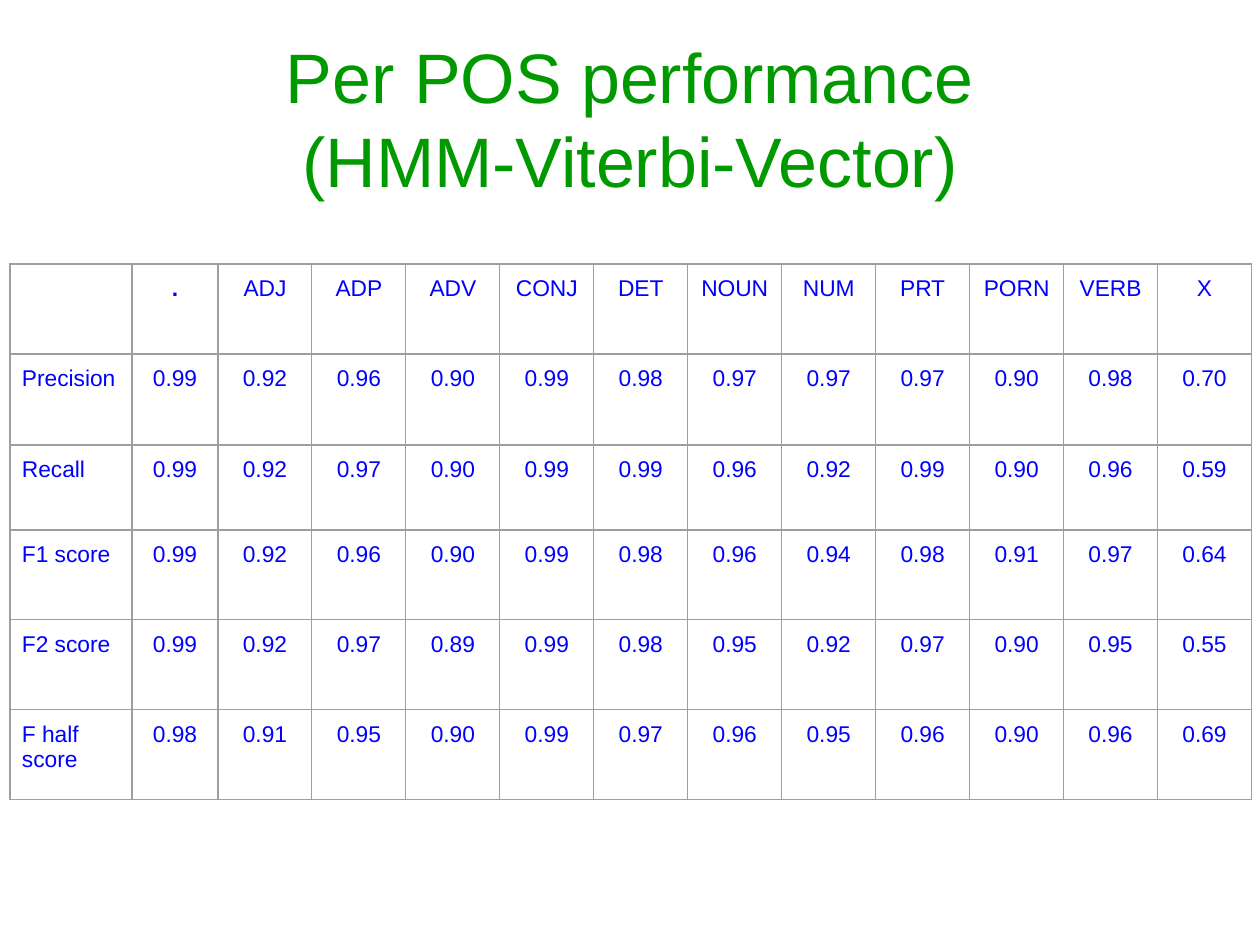
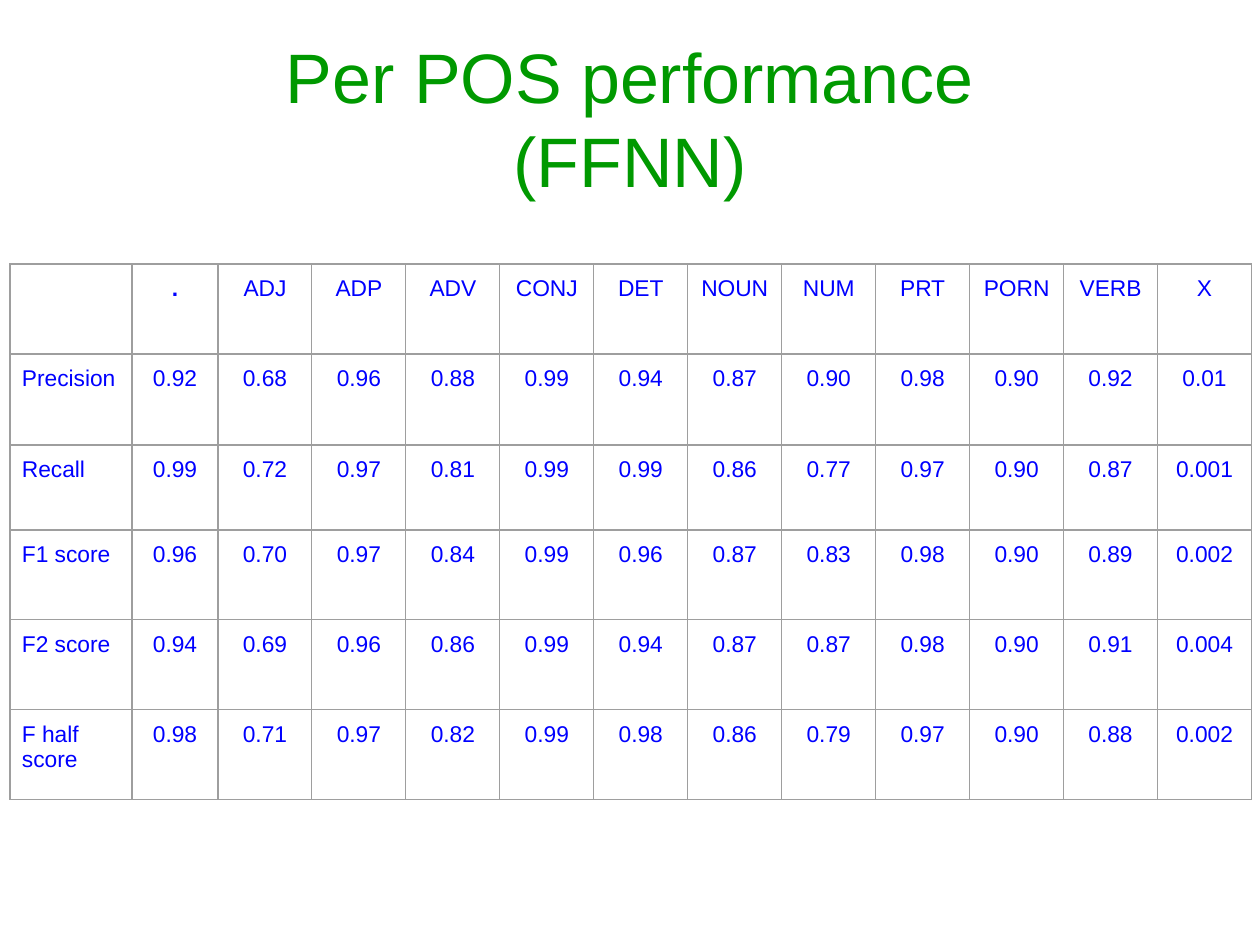
"""Build two slides of per-POS tagging scores, one table for each model."""
from lxml.etree import SubElement
from pptx import Presentation
from pptx.dml.color import RGBColor
from pptx.enum.text import MSO_ANCHOR as Anchor, PP_ALIGN as Align
from pptx.oxml.ns import qn
from pptx.util import Pt

PX = 914400 / 126
GREEN = RGBColor(0x00, 0x99, 0x00)
BLUE = RGBColor(0x00, 0x00, 0xFF)
GREY = RGBColor(0x9E, 0x9E, 0x9E)
TITLE_FONT = {"name": "Arial", "size": Pt(40), "color": GREEN}
CELL_FONT = {"name": "Arial", "size": Pt(13), "color": BLUE, "bold": False}
TAGS = ["", ".", "ADJ", "ADP", "ADV", "CONJ", "DET", "NOUN", "NUM", "PRT", "PORN", "VERB", "X"]
MEASURES = ["Precision", "Recall", "F1 score", "F2 score", "F half score"]
COLUMN_WIDTHS = [122, 86] + [94] * 11
ROW_HEIGHTS = [90, 91, 85, 90, 90, 90]
MARGINS = ("margin_left", "margin_top", "margin_right", "margin_bottom")

MODELS = {
    "HMM-Viterbi-Vector": [
        "0.99 0.92 0.96 0.90 0.99 0.98 0.97 0.97 0.97 0.90 0.98 0.70",
        "0.99 0.92 0.97 0.90 0.99 0.99 0.96 0.92 0.99 0.90 0.96 0.59",
        "0.99 0.92 0.96 0.90 0.99 0.98 0.96 0.94 0.98 0.91 0.97 0.64",
        "0.99 0.92 0.97 0.89 0.99 0.98 0.95 0.92 0.97 0.90 0.95 0.55",
        "0.98 0.91 0.95 0.90 0.99 0.97 0.96 0.95 0.96 0.90 0.96 0.69",
    ],
    "FFNN": [
        "0.92 0.68 0.96 0.88 0.99 0.94 0.87 0.90 0.98 0.90 0.92 0.01",
        "0.99 0.72 0.97 0.81 0.99 0.99 0.86 0.77 0.97 0.90 0.87 0.001",
        "0.96 0.70 0.97 0.84 0.99 0.96 0.87 0.83 0.98 0.90 0.89 0.002",
        "0.94 0.69 0.96 0.86 0.99 0.94 0.87 0.87 0.98 0.90 0.91 0.004",
        "0.98 0.71 0.97 0.82 0.99 0.98 0.86 0.79 0.97 0.90 0.88 0.002",
    ],
}


def px(*lengths):
    return [round(length * PX) for length in lengths]


def format_text(paragraph, alignment, font_values):
    paragraph.alignment = alignment
    for run in paragraph.runs:
        for name, value in font_values.items():
            if name == "color":
                run.font.color.rgb = value
            else:
                setattr(run.font, name, value)


presentation = Presentation()
presentation.slide_width, presentation.slide_height = px(1260, 945)

for model, scores in MODELS.items():
    slide = presentation.slides.add_slide(presentation.slide_layouts[6])

    title = slide.shapes.add_textbox(*px(63, 39, 1134, 157)).text_frame
    title.word_wrap = True
    title.vertical_anchor = Anchor.MIDDLE
    title.text = f"Per POS performance\v({model})"
    title.paragraphs[0].line_spacing = Pt(48)
    format_text(title.paragraphs[0], Align.CENTER, TITLE_FONT)

    rows = [TAGS] + [[measure, *line.split()] for measure, line in zip(MEASURES, scores)]
    table = slide.shapes.add_table(
        len(rows), len(TAGS), *px(10, 264, sum(COLUMN_WIDTHS), sum(ROW_HEIGHTS))
    ).table
    table.first_row = table.horz_banding = False
    for column, width in zip(table.columns, px(*COLUMN_WIDTHS)):
        column.width = width
    for row, height in zip(table.rows, px(*ROW_HEIGHTS)):
        row.height = height

    for row, texts in zip(table.rows, rows):
        for index, (cell, text) in enumerate(zip(row.cells, texts)):
            for margin in MARGINS:
                setattr(cell, margin, px(12)[0])
            properties = cell._tc.get_or_add_tcPr()
            for side in "LRTB":
                border = SubElement(properties, qn(f"a:ln{side}"), w=str(Pt(0.75)))
                fill = SubElement(border, qn("a:solidFill"))
                SubElement(fill, qn("a:srgbClr"), val=str(GREY))
            cell.fill.background()
            cell.text = text
            format_text(
                cell.text_frame.paragraphs[0],
                Align.CENTER if index else Align.LEFT,
                CELL_FONT | {"bold": text == "."},
            )

presentation.save("out.pptx")
